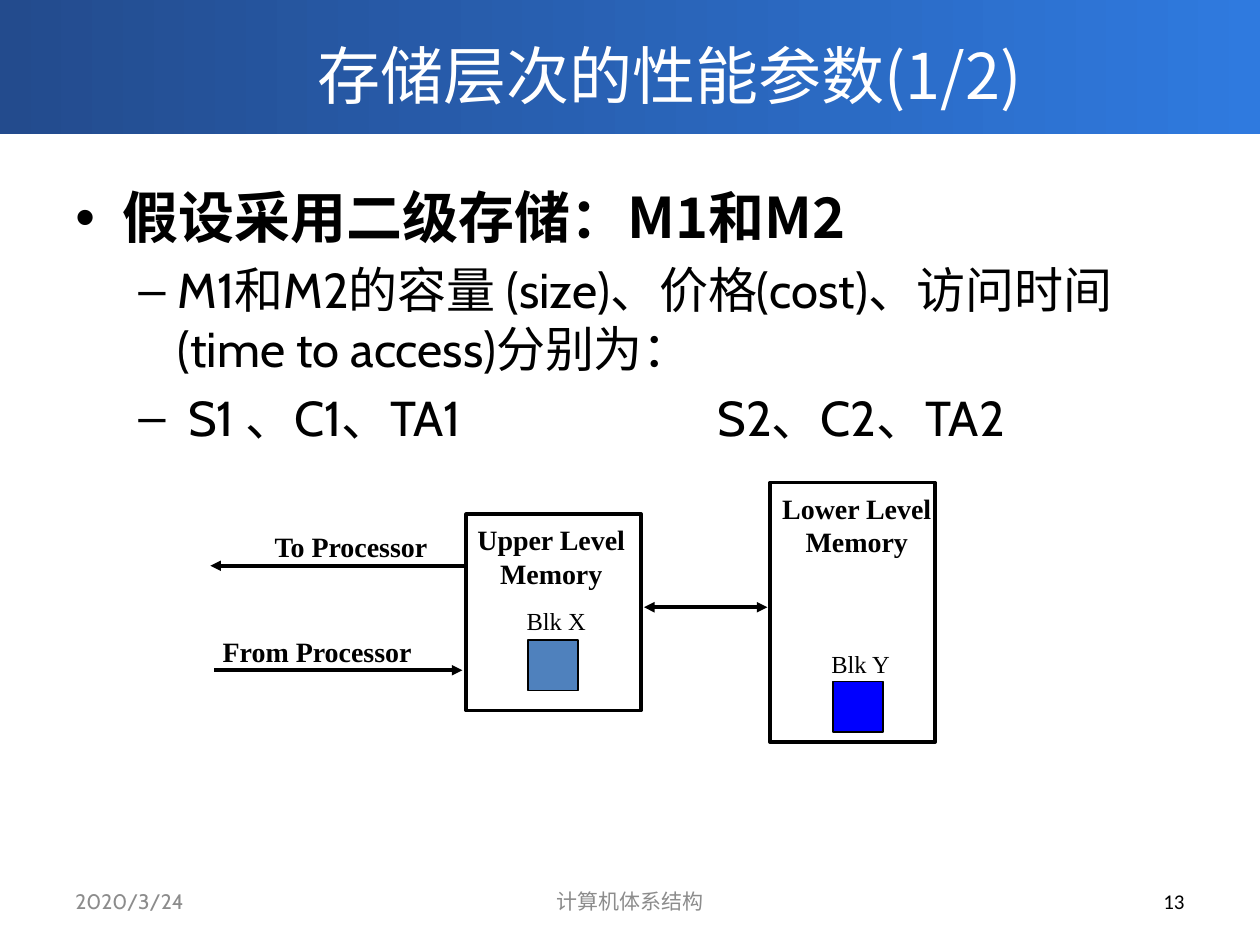
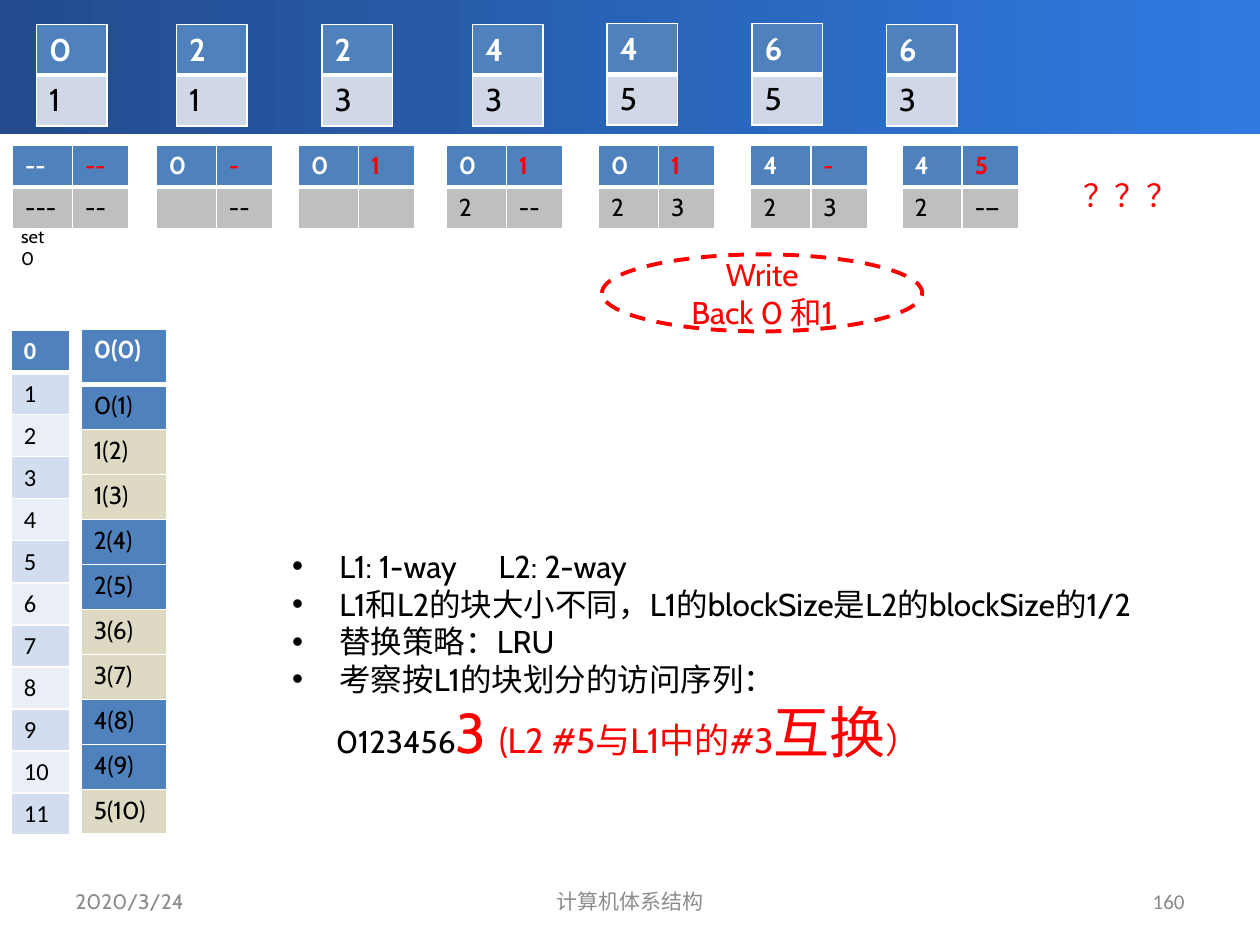
from dataclasses import dataclass
from typing import Optional

from pptx import Presentation
from pptx.dml.color import RGBColor
from pptx.enum.dml import MSO_LINE_DASH_STYLE as Dash
from pptx.enum.shapes import MSO_CONNECTOR as Connector
from pptx.enum.shapes import MSO_SHAPE as Preset
from pptx.enum.text import MSO_ANCHOR as Anchor
from pptx.enum.text import MSO_AUTO_SIZE as AutoSize
from pptx.enum.text import PP_ALIGN as Align
from pptx.oxml.ns import qn
from pptx.oxml.xmlchemy import OxmlElement
from pptx.util import Pt


@dataclass(frozen=True)
class Theme:
    band_start: str = "234B8D"
    band_end: str = "2F7ADF"
    white: str = "FFFFFF"
    black: str = "000000"
    red: str = "FF0000"
    footer: str = "8C8C8C"
    blue: str = "4F81BD"
    deep_blue: str = "0000FF"
    l1_body: str = "D0D8E8"
    l2_body: str = "BFBFBF"
    odd_row: str = "D2DEEF"
    even_row: str = "EAEFF7"
    tan: str = "DDD9C3"
    sans: str = "Cabin"
    number: str = "Calibri"
    cjk: str = "Noto Sans CJK SC"
    serif: str = "Times New Roman"
    title: float = 36
    huge: float = 32
    body: float = 28
    large: float = 20
    medium: float = 18
    label: float = 16
    small: float = 14
    foot: float = 12
    tiny: float = 10.5


THEME = Theme()


@dataclass(frozen=True)
class Box:
    left: float
    top: float
    width: float
    height: float

    def lengths(self) -> tuple:
        return Pt(self.left), Pt(self.top), Pt(self.width), Pt(self.height)


@dataclass(frozen=True)
class Style:
    size: float
    font: str = THEME.sans
    color: str = THEME.black
    bold: bool = False


@dataclass(frozen=True)
class Line:
    pieces: tuple
    align: Align = Align.LEFT
    bullet: Optional[str] = None
    margin: float = 0
    hanging: float = 0
    tab: Optional[float] = None
    before: float = 0
    spacing: Optional[float] = None


@dataclass(frozen=True)
class Cell:
    text: str
    fill: str
    style: Style


@dataclass(frozen=True)
class Arrow:
    start: tuple
    end: tuple
    both_ways: bool = False


@dataclass(frozen=True)
class Memory:
    name: str
    frame: Box
    name_box: Box
    block: str
    block_box: Box
    block_label: Box
    block_color: str


def rgb(code: str) -> RGBColor:
    return RGBColor.from_string(code)


def format_run(run, style: Style) -> None:
    font = run.font
    font.size, font.name, font.bold = Pt(style.size), style.font, style.bold
    font.color.rgb = rgb(style.color)
    east_asian = OxmlElement("a:ea")
    east_asian.set("typeface", style.font)
    font._element.find(qn("a:latin")).addnext(east_asian)


def one(text: str, style: Style, **layout) -> Line:
    return Line(((text, style),), **layout)


def write(frame, lines: list) -> None:
    for index, line in enumerate(lines):
        paragraph = frame.add_paragraph() if index else frame.paragraphs[0]
        properties = paragraph._p.get_or_add_pPr()
        properties.set("marL", str(Pt(line.margin)))
        properties.set("indent", str(Pt(-line.hanging)))
        if line.bullet:
            typeface = OxmlElement("a:buFont")
            typeface.set("typeface", "Arial")
            bullet = OxmlElement("a:buChar")
            bullet.set("char", line.bullet)
            properties.extend([typeface, bullet])
        if line.tab:
            stops = OxmlElement("a:tabLst")
            stop = OxmlElement("a:tab")
            stop.set("pos", str(Pt(line.tab)))
            stop.set("algn", "l")
            stops.append(stop)
            properties.append(stops)
        paragraph.alignment = line.align
        paragraph.space_before = Pt(line.before)
        if line.spacing:
            paragraph.line_spacing = Pt(line.spacing)
        for text, style in line.pieces:
            run = paragraph.add_run()
            run.text = text
            format_run(run, style)


def add_text(slide, box: Box, lines: list, wrap: bool = True, anchor: Anchor = Anchor.TOP) -> None:
    frame = slide.shapes.add_textbox(*box.lengths()).text_frame
    frame.word_wrap = wrap
    frame.vertical_anchor = anchor
    write(frame, lines)


def add_outline(slide, preset: Preset, box: Box, color: str, weight: float, fill: Optional[str] = None):
    shape = slide.shapes.add_shape(preset, *box.lengths())
    shape.shadow.inherit = False
    shape.line.color.rgb = rgb(color)
    shape.line.width = Pt(weight)
    if fill:
        shape.fill.solid()
        shape.fill.fore_color.rgb = rgb(fill)
    else:
        shape.fill.background()
    return shape


def add_arrow(slide, arrow: Arrow) -> None:
    ends = [Pt(value) for value in arrow.start + arrow.end]
    connector = slide.shapes.add_connector(Connector.STRAIGHT, *ends)
    connector.line.color.rgb = rgb(THEME.black)
    connector.line.width = Pt(2)
    for tag in ("a:headEnd", "a:tailEnd") if arrow.both_ways else ("a:tailEnd",):
        tip = OxmlElement(tag)
        tip.set("type", "triangle")
        connector.line._get_or_add_ln().append(tip)
    connector._element.spPr.append(OxmlElement("a:effectLst"))


def add_borders(cell, row: int) -> None:
    properties = cell._tc.get_or_add_tcPr()
    weights = {"a:lnL": 1, "a:lnR": 1, "a:lnT": 3 if row == 1 else 1, "a:lnB": 1 if row else 3}
    for tag, weight in weights.items():
        border = OxmlElement(tag)
        border.set("w", str(Pt(weight)))
        solid = OxmlElement("a:solidFill")
        color = OxmlElement("a:srgbClr")
        color.set("val", THEME.white)
        solid.append(color)
        border.append(solid)
        properties.append(border)


def add_grid(slide, left: float, top: float, widths: list, heights: list, rows: list) -> None:
    box = Box(left, top, sum(widths), sum(heights))
    table = slide.shapes.add_table(len(rows), len(widths), *box.lengths()).table
    table.first_row = table.horz_banding = False
    for column, width in zip(table.columns, widths):
        column.width = Pt(width)
    for index, (row, height) in enumerate(zip(rows, heights)):
        table.rows[index].height = Pt(height)
        for position, content in enumerate(row):
            cell = table.cell(index, position)
            add_borders(cell, index)
            cell.fill.solid()
            cell.fill.fore_color.rgb = rgb(content.fill)
            if content.text:
                write(cell.text_frame, [one(content.text, content.style)])
            else:
                blank = OxmlElement("a:endParaRPr")
                blank.set("sz", str(int(content.style.size * 100)))
                cell.text_frame.paragraphs[0]._p.append(blank)


def add_frame(slide, number: str, number_color: str) -> None:
    band = slide.shapes.add_shape(Preset.RECTANGLE, *Box(0, 0, 720, 76.6).lengths())
    band.shadow.inherit = False
    band.line.fill.background()
    band.fill.gradient()
    band.fill.gradient_angle = 0
    for stop, color in zip(band.fill.gradient_stops, (THEME.band_start, THEME.band_end)):
        stop.color.rgb = rgb(color)
    band._element.getparent().insert(2, band._element)
    grey = Style(THEME.foot, color=THEME.footer)
    numbering = Style(THEME.foot, THEME.number, number_color)
    for left, width, text, style, align in (
        (36, 168, "2020/3/24", grey, Align.LEFT),
        (246, 228, "计算机体系结构", grey, Align.CENTER),
        (516, 168, number, numbering, Align.RIGHT),
    ):
        add_text(slide, Box(left, 500.5, width, 28.8), [one(text, style, align=align)], anchor=Anchor.MIDDLE)


def add_memory(slide, memory: Memory) -> None:
    add_outline(slide, Preset.RECTANGLE, memory.frame, THEME.black, 2)
    name = Style(THEME.label, THEME.serif, bold=True)
    lines = [one(text, name, align=Align.CENTER) for text in (memory.name, "Memory")]
    add_text(slide, memory.name_box, lines, wrap=False)
    add_outline(slide, Preset.RECTANGLE, memory.block_box, THEME.black, 1, memory.block_color)
    add_text(slide, memory.block_label, [one(memory.block, Style(THEME.small, THEME.serif))], wrap=False)


def build_parameters(deck) -> None:
    slide = deck.slides.add_slide(deck.slide_layouts[5])
    title = slide.shapes.title
    title.left, title.top, title.width, title.height = Box(81.4, 11.5, 602.6, 62).lengths()
    title.text_frame.auto_size = AutoSize.NONE
    title.text_frame.vertical_anchor = Anchor.MIDDLE
    write(title.text_frame, [one("存储层次的性能参数(1/2)", Style(THEME.title, THEME.cjk, THEME.white), align=Align.CENTER)])
    add_frame(slide, "13", THEME.black)

    detail = Style(THEME.body)
    add_text(slide, Box(36, 100.4, 648, 397), [
        one("假设采用二级存储：M1和M2", Style(THEME.huge, THEME.cjk, bold=True),
            bullet="•", margin=27, hanging=27, spacing=39),
        one("M1和M2的容量 (size)、价格(cost)、访问时间 (time to access)分别为：", detail,
            bullet="–", margin=58.5, hanging=22.5, before=5.6),
        one("S1 、C1、TA1\tS2、C2、TA2", detail,
            bullet="–", margin=64.5, hanging=28.5, tab=367, before=5.6),
    ])

    for memory in (
        Memory("Upper Level", Box(266.4, 293.8, 100, 112.3), Box(265, 295.2, 100, 46),
               "Blk X", Box(301.7, 365.8, 28.8, 28.8), Box(293.8, 342.7, 49, 24), THEME.blue),
        Memory("Lower Level", Box(440, 275.8, 94.3, 148.3), Box(439.2, 277.2, 100.8, 46),
               "Blk Y", Box(475.9, 389.5, 28.8, 28.8), Box(468, 367.2, 48.2, 24), THEME.deep_blue),
    ):
        add_memory(slide, memory)
    for arrow in (
        Arrow((266.4, 323.3), (120.2, 323.3)),
        Arrow((122.4, 383), (264.2, 383)),
        Arrow((368, 347), (438.5, 347), both_ways=True),
    ):
        add_arrow(slide, arrow)
    direction = Style(THEME.label, THEME.serif, bold=True)
    add_text(slide, Box(149.8, 298.8, 103, 26.6), [one("To Processor", direction)], wrap=False)
    add_text(slide, Box(120.2, 359.3, 123.8, 26.6), [one("From Processor", direction)], wrap=False)


def build_sequence(deck) -> None:
    slide = deck.slides.add_slide(deck.slide_layouts[6])
    add_frame(slide, "160", "898989")

    l1_head = Style(THEME.medium, color=THEME.white, bold=True)
    l1_plain = Style(THEME.medium)
    for left, top, upper, lower in (
        (20.9, 13.9, "0", "1"), (100.8, 13.9, "2", "1"), (184, 13.9, "2", "3"),
        (270, 13.9, "4", "3"), (347, 13.4, "4", "5"), (429.8, 13.4, "6", "5"), (506.5, 13.9, "6", "3"),
    ):
        add_grid(slide, left, top, [40.3], [29, 29],
                 [[Cell(upper, THEME.blue, l1_head)], [Cell(lower, THEME.l1_body, l1_plain)]])

    head = Style(THEME.small, color=THEME.white, bold=True)
    new_head = Style(THEME.small, color=THEME.red, bold=True)
    plain = Style(THEME.small)
    for left, *(first, second, third, fourth) in (
        (7.2, "--", "--", "---", "--"), (89.3, "0", "-", "", "--"), (170.6, "0", "1", "", ""),
        (255, "0", "1", "2", "--"), (342, "0", "1", "2", "3"),
        (429, "4", "-", "2", "3"), (515.5, "4", "5", "2", "-—"),
    ):
        add_grid(slide, left, 82.8, [34.3, 32.3], [24, 24], [
            [Cell(first, THEME.blue, head), Cell(second, THEME.blue, new_head)],
            [Cell(third, THEME.l2_body, plain), Cell(fourth, THEME.l2_body, plain)],
        ])

    number = Style(THEME.small, THEME.number)
    number_head = Style(THEME.small, THEME.number, THEME.white, True)
    addresses = [[Cell("0", THEME.blue, number_head)]]
    addresses += [[Cell(str(i), THEME.odd_row if i % 2 else THEME.even_row, number)] for i in range(1, 12)]
    add_grid(slide, 6.5, 188.8, [33.1], [24] * 12, addresses)

    blocks = [
        [Cell(f"{i // 2}({i})", THEME.tan if i // 2 % 2 else THEME.blue, plain if i else head)]
        for i in range(11)
    ]
    add_grid(slide, 46.4, 187.9, [49], [32] + [25.7] * 10, blocks)

    add_text(slide, Box(5, 125.3, 34.6, 20.2), [one("set0", Style(THEME.tiny))])
    alert = Style(THEME.medium, color=THEME.red)
    add_text(slide, Box(612, 97.2, 72, 28.8), [one("？？？", alert)])
    write_back = add_outline(slide, Preset.OVAL, Box(344, 145.4, 183, 44), THEME.red, 2.25)
    write_back.line.dash_style = Dash.DASH
    write_back.text_frame.vertical_anchor = Anchor.MIDDLE
    write(write_back.text_frame, [one(text, alert, align=Align.CENTER) for text in ("Write", "Back 0 和1")])

    note = Style(THEME.medium)
    item = dict(bullet="•", margin=27, hanging=27)
    swap = Style(THEME.large, color=THEME.red)
    swap_big = Style(THEME.huge, color=THEME.red)
    add_text(slide, Box(159.8, 308.9, 503.3, 177), [
        one("L1: 1-way\tL2: 2-way", note, tab=118, **item),
        one("L1和L2的块大小不同，L1的blockSize是L2的blockSize的1/2", note, **item),
        one("替换策略：LRU", note, **item),
        one("考察按L1的块划分的访问序列：", note, **item),
        Line((("0123456", note), ("3 ", swap_big), ("(L2 #5与L1中的#3", swap),
              ("互换", swap_big), ("）", swap)), margin=25),
    ])


def main() -> None:
    deck = Presentation()
    deck.slide_width, deck.slide_height = Pt(720), Pt(540)
    build_parameters(deck)
    build_sequence(deck)
    deck.save("out.pptx")


if __name__ == "__main__":
    main()
